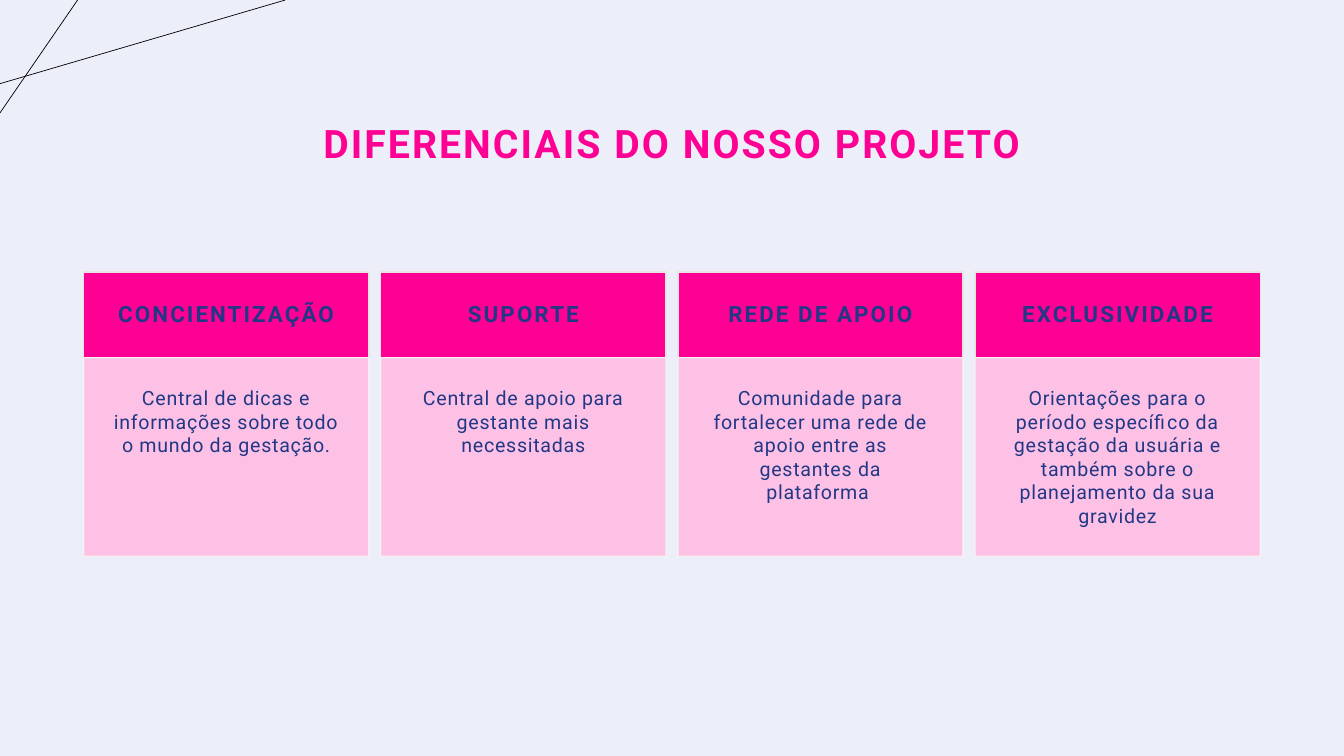
"""Build the slide on what sets the project apart."""
from dataclasses import dataclass

from lxml.etree import SubElement
from pptx import Presentation
from pptx.dml.color import RGBColor
from pptx.enum.shapes import MSO_CONNECTOR as CONN, MSO_SHAPE as SHAPE
from pptx.enum.text import MSO_ANCHOR as ANCHOR, PP_ALIGN as ALIGN
from pptx.oxml.ns import qn
from pptx.util import Inches, Pt

TITLE = "DIFERENCIAIS DO NOSSO PROJETO"
CARDS = [
    ("CONCIENTIZAÇÃO",
     "Central de dicas e informações sobre todo o mundo da gestação."),
    ("SUPORTE", "Central de apoio para gestante mais necessitadas"),
    ("REDE DE APOIO",
     "Comunidade para fortalecer uma rede de apoio entre as gestantes da plataforma "),
    ("EXCLUSIVIDADE",
     "Orientações para o período específico da gestação da usuária "
     "e também sobre o planejamento da sua gravidez"),
]
CORNER_LINES = [(0, 0.83, 2.83, 0), (0.77, 0, 0, 1.12)]

SLIDE_W, SLIDE_H = 13.33, 7.5
MARGIN, CARD_W = 0.83, 2.83
HEAD_TOP, HEAD_H, BODY_H = 2.7, 0.85, 1.97


@dataclass(frozen=True)
class Theme:
    """Hold the colours and type sizes."""
    font: str = "Roboto"
    background: str = "ECEFFA"
    accent: str = "FF0095"
    text: str = "223885"
    body_fill: str = "FFBDE4"
    head_line: str = "E9E6DF"
    body_line: str = "F7F5F3"
    corner_line: str = "000000"
    title_size: float = 28
    head_size: float = 16
    body_size: float = 14
    wide: float = 1.5
    narrow: float = 0.5
    body_alpha: int = 90


THEME = Theme()


def rgb(value):
    """Turn a hex string into a colour."""
    return RGBColor.from_string(value)


def write(tf, text, size, color, bold, spacing, anchor, inset, leading):
    """Write one centred run into a text frame."""
    tf.word_wrap = True
    tf.vertical_anchor = anchor
    tf.margin_left = tf.margin_right = Inches(inset)
    tf.margin_top = tf.margin_bottom = Inches(inset)
    p = tf.paragraphs[0]
    p.alignment = ALIGN.CENTER
    p.line_spacing = leading
    p.space_before = Pt(0)
    r = p.add_run()
    r.text = text
    r.font.name = THEME.font
    r.font.size = Pt(size)
    r.font.bold = bold
    r.font.color.rgb = rgb(color)
    r.font._element.set("spc", str(int(spacing * 100)))


def add_panel(s, box, fill, line, alpha=100):
    """Add a flat rectangle with a thin outline."""
    sp = s.shapes.add_shape(SHAPE.RECTANGLE, *map(Inches, box))
    sp.shadow.inherit = False
    sp.fill.solid()
    sp.fill.fore_color.rgb = rgb(fill)
    sp.line.color.rgb = rgb(line)
    sp.line.width = Pt(1)
    if alpha < 100:
        for clr in sp._element.spPr.iter(qn("a:srgbClr")):
            SubElement(clr, qn("a:alpha")).set("val", str(alpha * 1000))
    return sp


def add_corner_line(s, ends):
    """Add one thin line in the corner."""
    line = s.shapes.add_connector(CONN.STRAIGHT, *map(Inches, ends))
    line.line.color.rgb = rgb(THEME.corner_line)
    line.line.width = Pt(0.5)
    SubElement(line._element.spPr, qn("a:effectLst"))


def add_card(s, left, head, body):
    """Add a heading panel with its description below."""
    sp = add_panel(s, (left, HEAD_TOP, CARD_W, HEAD_H),
                   THEME.accent, THEME.head_line)
    write(sp.text_frame, head, THEME.head_size, THEME.text, True,
          THEME.wide, ANCHOR.MIDDLE, 0.22, 0.9)
    sp = add_panel(s, (left, HEAD_TOP + HEAD_H, CARD_W, BODY_H),
                   THEME.body_fill, THEME.body_line, THEME.body_alpha)
    write(sp.text_frame, body, THEME.body_size, THEME.text, False,
          THEME.narrow, ANCHOR.TOP, 0.28, 1.0)


def main():
    """Build and save the slide."""
    prs = Presentation()
    prs.slide_width, prs.slide_height = Inches(SLIDE_W), Inches(SLIDE_H)
    s = prs.slides.add_slide(prs.slide_layouts[5])
    s.background.fill.solid()
    s.background.fill.fore_color.rgb = rgb(THEME.background)

    for ends in CORNER_LINES:
        add_corner_line(s, ends)

    title = s.shapes.title
    title.left, title.top = Inches(2.71), Inches(0.72)
    title.width, title.height = Inches(7.91), Inches(1.45)
    write(title.text_frame, TITLE, THEME.title_size, THEME.accent, True,
          THEME.wide, ANCHOR.MIDDLE, 0.1, 0.9)

    pitch = (SLIDE_W - 2 * MARGIN - CARD_W) / (len(CARDS) - 1)
    for i, (head, body) in enumerate(CARDS):
        add_card(s, MARGIN + i * pitch, head, body)

    prs.save("out.pptx")


if __name__ == "__main__":
    main()
